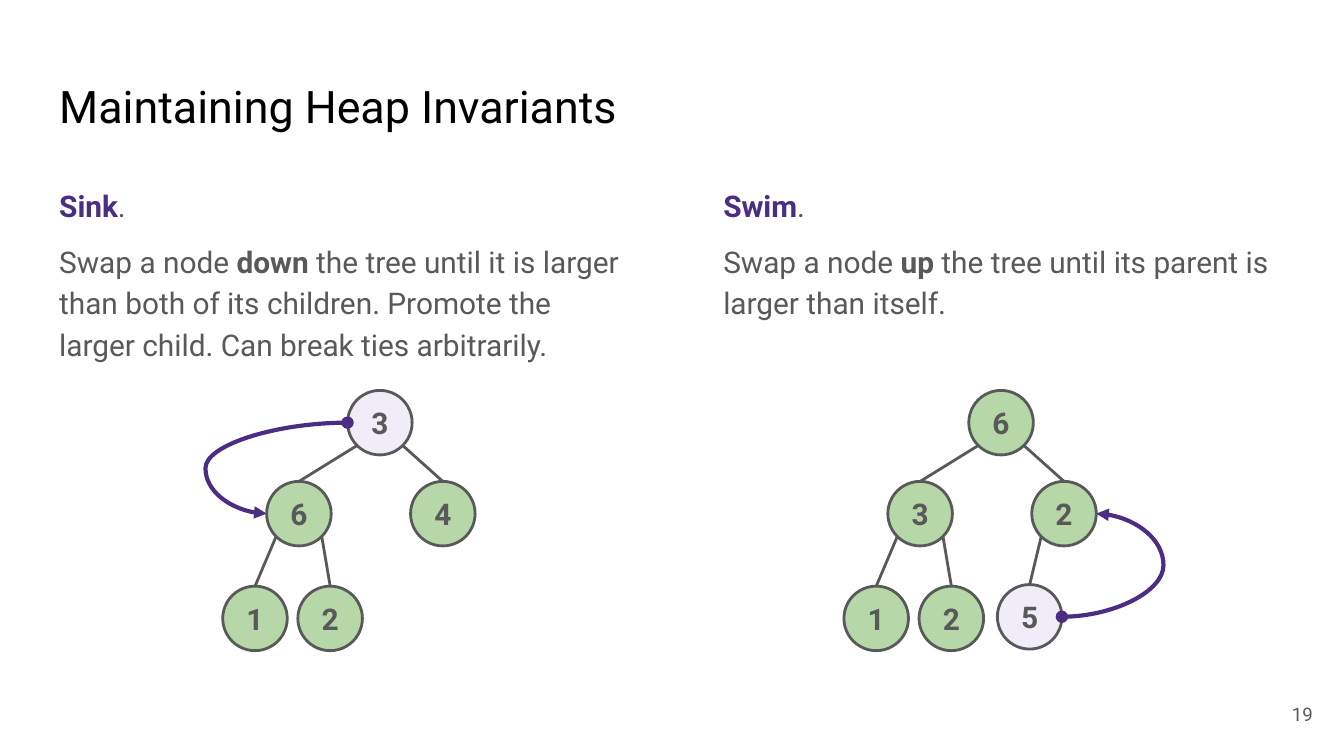
from math import sqrt
from pptx import Presentation
from pptx.dml.color import RGBColor
from pptx.enum.shapes import MSO_CONNECTOR as Link, MSO_SHAPE as Kind
from pptx.enum.text import MSO_ANCHOR as Anchor, PP_ALIGN as Align
from pptx.oxml.ns import qn
from pptx.util import Cm, Pt
from lxml.etree import SubElement as sub

GREEN, PALE, GRAY, PURPLE = "B6D7A8", "F0ECF8", "595959", "4B2E83"
SIZE = 1.22
PAD = Cm(0.25)


def tint(target, code):
    """Give a fill, a font or a line a solid colour."""
    if hasattr(target, "solid"):
        target.solid()
        target.fore_color.rgb = RGBColor.from_string(code)
    else:
        target.color.rgb = RGBColor.from_string(code)


def style(frame, size, code, bold=False, align=Align.LEFT, anchor=Anchor.TOP):
    """Set the margins, placing and font of a whole text frame."""
    frame.word_wrap = True
    frame.vertical_anchor = anchor
    frame.margin_left = frame.margin_right = PAD
    frame.margin_top = frame.margin_bottom = PAD
    for para in frame.paragraphs:
        para.alignment = align
        for run in para.runs:
            run.font.name, run.font.size = "Roboto", Pt(size)
            run.font.bold = bold
            tint(run.font, code)


deck = Presentation()
deck.slide_width, deck.slide_height = Cm(25.4), Cm(14.29)
slide = deck.slides.add_slide(deck.slide_layouts[6])
shapes = slide.shapes

# Title and page number
title = shapes.add_textbox(Cm(0.87), Cm(1.24), Cm(23.67), Cm(1.6)).text_frame
title.text = "Maintaining Heap Invariants"
style(title, 24, "000000")
page = shapes.add_textbox(Cm(23.54), Cm(12.95), Cm(1.52), Cm(1.09)).text_frame
page.text = "19"
style(page, 10, GRAY, align=Align.RIGHT, anchor=Anchor.MIDDLE)

# Two text columns
columns = [
    (0.87, "Sink", "down", " the tree until it is larger than both of its children."
     " Promote the larger child. Can break ties arbitrarily."),
    (13.42, "Swim", "up", " the tree until its parent is larger than itself."),
]
for left, name, way, rest in columns:
    frame = shapes.add_textbox(Cm(left), Cm(3.2), Cm(11.1), Cm(3.81)).text_frame
    head, body = frame.paragraphs[0], frame.add_paragraph()
    for para, parts in ((head, (name, ".")), (body, ("Swap a node ", way, rest))):
        para.line_spacing = 1.15
        for part in parts:
            para.add_run().text = part
    body.space_before = body.space_after = Pt(8)
    style(frame, 16, GRAY)
    head.runs[0].font.bold = body.runs[1].font.bold = True
    tint(head.runs[0].font, PURPLE)

# Heap trees: each node is label, centre x, centre y, parent index
spots = [(7.18, 7.99, None), (5.65, 9.71, 0), (8.37, 9.71, 0),
         (4.82, 11.69, 1), (6.24, 11.69, 1), (7.72, 11.66, 2)]
trees = [(0, "36412", "3"), (11.74, "632125", "5")]
reach = SIZE / 2 / sqrt(2)
for shift, labels, moved in trees:
    group = shapes.add_group_shape().shapes
    nodes = []
    for label, (x, y, above) in zip(labels, spots):
        node = group.add_shape(Kind.OVAL, Cm(x + shift - SIZE / 2), Cm(y - SIZE / 2),
                               Cm(SIZE), Cm(SIZE))
        node.shadow.inherit = False
        # The moving node is pale: the left root or the right leaf
        pale = label == moved and above in (None, 2)
        tint(node.fill, PALE if pale else GREEN)
        tint(node.line, GRAY)
        node.line.width = Pt(1.5)
        node.text_frame.text = label
        style(node.text_frame, 16, GRAY, True, Align.CENTER, Anchor.MIDDLE)
        nodes.append(node)
        if above is None:
            continue
        # Edge from the parent's lower diagonal to the child's top
        px, py, _ = spots[above]
        side = reach if x > px else -reach
        edge = group.add_connector(Link.STRAIGHT, Cm(px + side + shift), Cm(py + reach),
                                   Cm(x + shift), Cm(y - SIZE / 2))
        edge.end_connect(node, 0)
        tint(edge.line, GRAY)
        edge.line.width = Pt(1.5)
        sub(edge._element.spPr, qn("a:effectLst"))

# Curved swap arrows: shift, start node, end node, side, bend
swaps = [(0, 0, 1, -1, 175500), (11.74, 5, 2, 1, 295300)]
for shift, start, end, side, bend in swaps:
    (ax, ay, _), (bx, by, _) = spots[start], spots[end]
    off = shift + side * SIZE / 2
    swap = shapes.add_connector(Link.CURVE, Cm(ax + off), Cm(ay), Cm(bx + off), Cm(by))
    tint(swap.line, PURPLE)
    swap.line.width = Pt(2.25)
    props = swap._element.spPr
    shape = props.find(qn("a:prstGeom"))
    guides = shape.find(qn("a:avLst"))
    if guides is None:
        guides = sub(shape, qn("a:avLst"))
    sub(guides, qn("a:gd"), name="adj1", fmla=f"val {bend}")
    stroke = props.find(qn("a:ln"))
    sub(stroke, qn("a:headEnd"), type="oval")
    sub(stroke, qn("a:tailEnd"), type="triangle")
    sub(props, qn("a:effectLst"))

deck.save("out.pptx")
